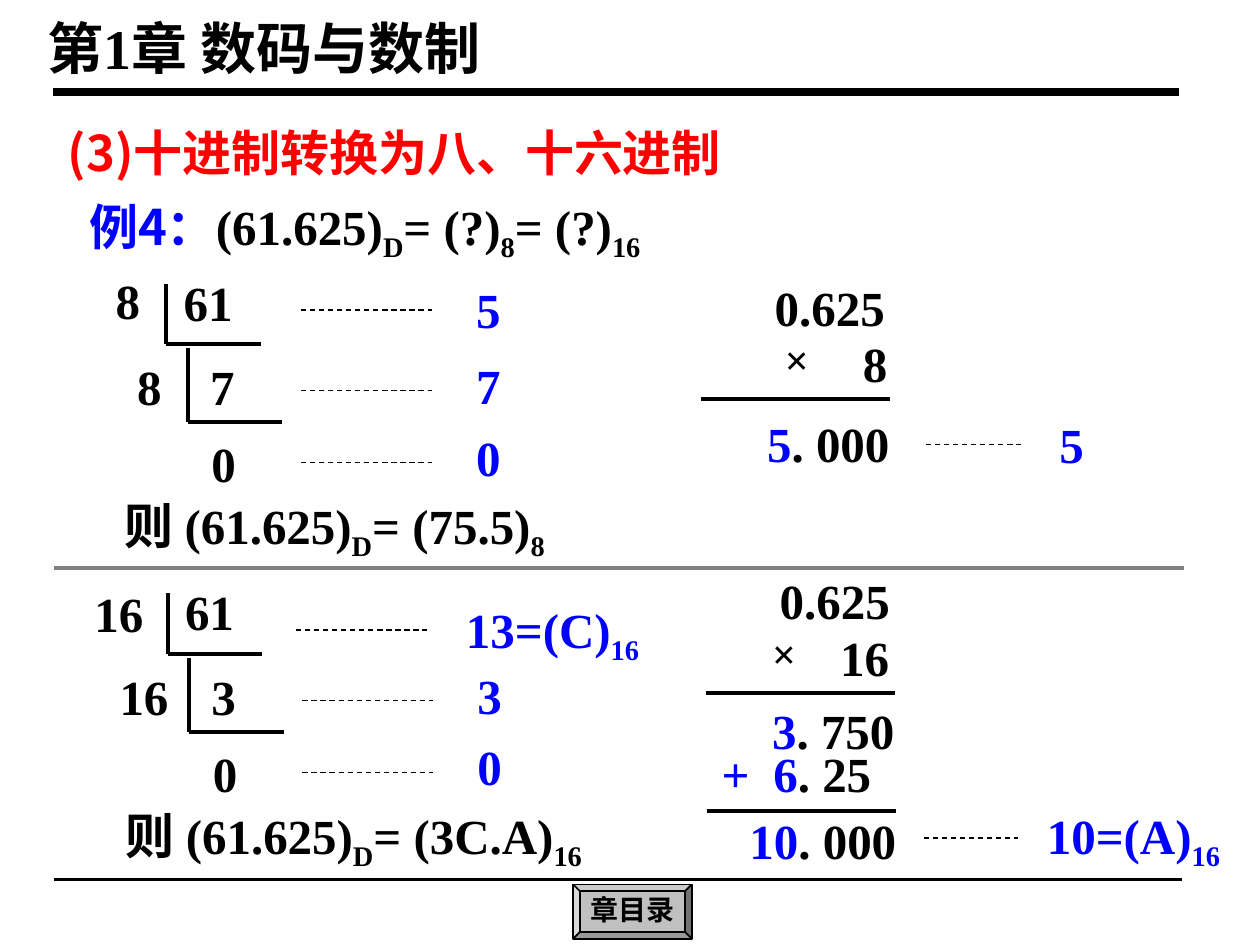
import pptx
import pptx.util
import pptx.dml.color
import pptx.enum.dml
import pptx.enum.shapes
import pptx.enum.text
import lxml.etree

PX = 9144  # EMU per px, 100 px to the inch
INK = {"black": "000000", "red": "FF0000", "blue": "0000FF",
       "gray": "808080", "silver": "C0C0C0"}
ROMAN, HAN = "Times New Roman", "Noto Sans CJK SC"
NS = "{http://schemas.openxmlformats.org/drawingml/2006/main}"


def color(name):
    return pptx.dml.color.RGBColor.from_string(INK[name])


def add_line(slide, x1, y1, x2, y2, width=2.25, ink="black", dash=False):
    kind = pptx.enum.shapes.MSO_CONNECTOR.STRAIGHT
    line = slide.shapes.add_connector(kind, x1 * PX, y1 * PX, x2 * PX, y2 * PX)
    line.line.width = pptx.util.Pt(width)
    line.line.color.rgb = color(ink)
    if dash:
        line.line.dash_style = pptx.enum.dml.MSO_LINE.DASH
    lxml.etree.SubElement(line._element.spPr, NS + "effectLst")


def run(text, ink=None, font=None, sub=False):
    return {"text": text, "ink": ink, "font": font, "sub": sub}


def sub(text):
    return run(text, sub=True)


def fill_text(para, parts, size, ink, font):
    """Write runs; only what differs from the paragraph goes on a run."""
    para.font.size = pptx.util.Pt(size)
    para.font.bold = True
    para.font.name = font
    para.font.color.rgb = color(ink)
    base = para._p.pPr.find(NS + "defRPr")
    lxml.etree.SubElement(base, NS + "ea", typeface=HAN)
    for part in [run(parts)] if isinstance(parts, str) else parts:
        piece = para.add_run()
        piece.text = part["text"]
        if part["ink"]:
            piece.font.color.rgb = color(part["ink"])
        if part["font"]:
            piece.font.name = part["font"]
        if part["sub"]:
            piece._r.get_or_add_rPr().set("baseline", "-25000")


def add_text(slide, x, y, w, parts, ink="black", size=28, font=ROMAN,
             h=57, wrap=True, tab=None):
    box = slide.shapes.add_textbox(x * PX, y * PX, w * PX, h * PX)
    frame = box.text_frame
    frame.word_wrap = wrap
    frame.auto_size = pptx.enum.text.MSO_AUTO_SIZE.SHAPE_TO_FIT_TEXT
    para = frame.paragraphs[0]
    if tab:
        stops = lxml.etree.SubElement(para._p.get_or_add_pPr(), NS + "tabLst")
        lxml.etree.SubElement(stops, NS + "tab", pos=str(tab * PX), algn="l")
    fill_text(para, parts, size, ink, font)


def add_frame(slide):
    """Chapter title, the two page rules and the contents button."""
    add_line(slide, 43, 698, 938, 698)
    add_text(slide, 28, 6, 463, "第1章 数码与数制", size=32, h=64)
    add_line(slide, 42, 73, 936, 73, width=4.5)
    button = slide.shapes.add_shape(pptx.enum.shapes.MSO_SHAPE.BEVEL,
                                    455 * PX, 702 * PX, 94 * PX, 43 * PX)
    button.shadow.inherit = False
    button.fill.solid()
    button.fill.fore_color.rgb = color("silver")
    button.line.color.rgb = color("black")
    button.line.width = pptx.util.Pt(1)
    frame = button.text_frame
    frame.word_wrap = False
    frame.margin_left = frame.margin_right = 4 * PX
    frame.margin_top = frame.margin_bottom = 4 * PX
    frame.vertical_anchor = pptx.enum.text.MSO_ANCHOR.MIDDLE
    para = frame.paragraphs[0]
    para.alignment = pptx.enum.text.PP_ALIGN.CENTER
    para.line_spacing = 0.9
    fill_text(para, "章目录", 16, "black", ROMAN)


def add_topic(slide, x, y):
    """Section heading and the question."""
    add_text(slide, x, y, 847, "(3)十进制转换为八、十六进制", "red", font=HAN)
    add_text(slide, x + 17, y + 59, 650, [
        run("例4：", "blue", HAN), run("(61.625)"), sub("D"),
        run("= (?)"), sub("8"), run("= (?)"), sub("16")], h=116)


def add_digit(slide, x, y, length, left, top, width, parts):
    """Dashed leader and the blue digit that it leads to."""
    add_line(slide, x, y, x + length, y, width=0.75, dash=True)
    add_text(slide, left, top, width, parts, "blue")


def add_ladder(slide, x, y, base, bases, mid, first, last, shift=(0, 0, 0)):
    """Repeated division; shift moves the first leader, its digit, both down."""
    for left, top, right, low in ((50, 15, 125, 63), (67, 66, 142, 125)):
        add_line(slide, x + left, y + top, x + left, y + low)
        add_line(slide, x + left, y + low, x + right, y + low)
    for left, top in bases:
        add_text(slide, x + left, y + top, 25 + 25 * len(base), base)
    for left, top, value in ((54, 1, "61"), (75, 68, mid), (76, 129, "0")):
        add_text(slide, x + left, y + top, 75, value)

    # Remainders
    lead, left, down = shift
    add_digit(slide, x + 157 + lead, y + 36 + down, 104,
              x + 286 + left, y + 7 + down, 310, first)
    for rule, top, value in ((100, 67, mid), (157, 124, "0")):
        add_digit(slide, x + 157, y + rule, 104, x + 286, y + top, 50, value)

    # Conclusion
    add_text(slide, x + 7, y + 178, 618, [
        run("则 ", font=HAN), run("(61.625)"), sub("D"),
        run(f"= ({last})"), sub(base)], h=63)


def add_product(slide, x, y, base, sign, left, drop, whole, rest):
    """Multiplication of the fraction by the base."""
    add_text(slide, x + 49, y, 150, "0.625")
    add_text(slide, x + sign, y + 45, 39, "×", size=24, h=50, wrap=False)
    add_text(slide, x + left, y + 45, 100, base)
    add_line(slide, x, y + 102, x + 150, y + 102)
    add_text(slide, x + 43, y + drop, 150, [run(whole, "blue"), run(rest)])


def add_sum(slide, x, y):
    """Addition below the second product."""
    add_text(slide, x, y, 150, [run("+\t6", "blue"), run(". 25")], tab=41)
    add_line(slide, x - 2, y + 59, x + 148, y + 59)
    add_text(slide, x + 22, y + 53, 150, [run("10", "blue"), run(". 000")])


def main():
    deck = pptx.Presentation()
    deck.slide_width, deck.slide_height = 1000 * PX, 750 * PX
    slide = deck.slides.add_slide(deck.slide_layouts[6])
    add_frame(slide)
    add_topic(slide, 44, 92)

    # Octal
    add_ladder(slide, 82, 210, "8", ((0, 0), (17, 68)), "7", "5", "75.5")
    add_product(slide, 556, 215, "8", 57, 119, 108, "5", ". 000")
    add_digit(slide, 735, 353, 75, 831, 324, 67, "5")
    add_line(slide, 43, 451, 940, 451, width=2, ink="gray")

    # Hexadecimal
    add_ladder(slide, 83, 456, "16", ((-18, 2), (2, 68)), "3",
               [run("13=(C)"), sub("16")], "3C.A", shift=(-5, -9, 8))
    add_product(slide, 560, 448, "16", 43, 97, 103, "3", ". 750")
    add_sum(slide, 563, 585)
    add_digit(slide, 733, 665, 75, 821, 634, 178, [run("10=(A)"), sub("16")])

    deck.save("out.pptx")


if __name__ == "__main__":
    main()
